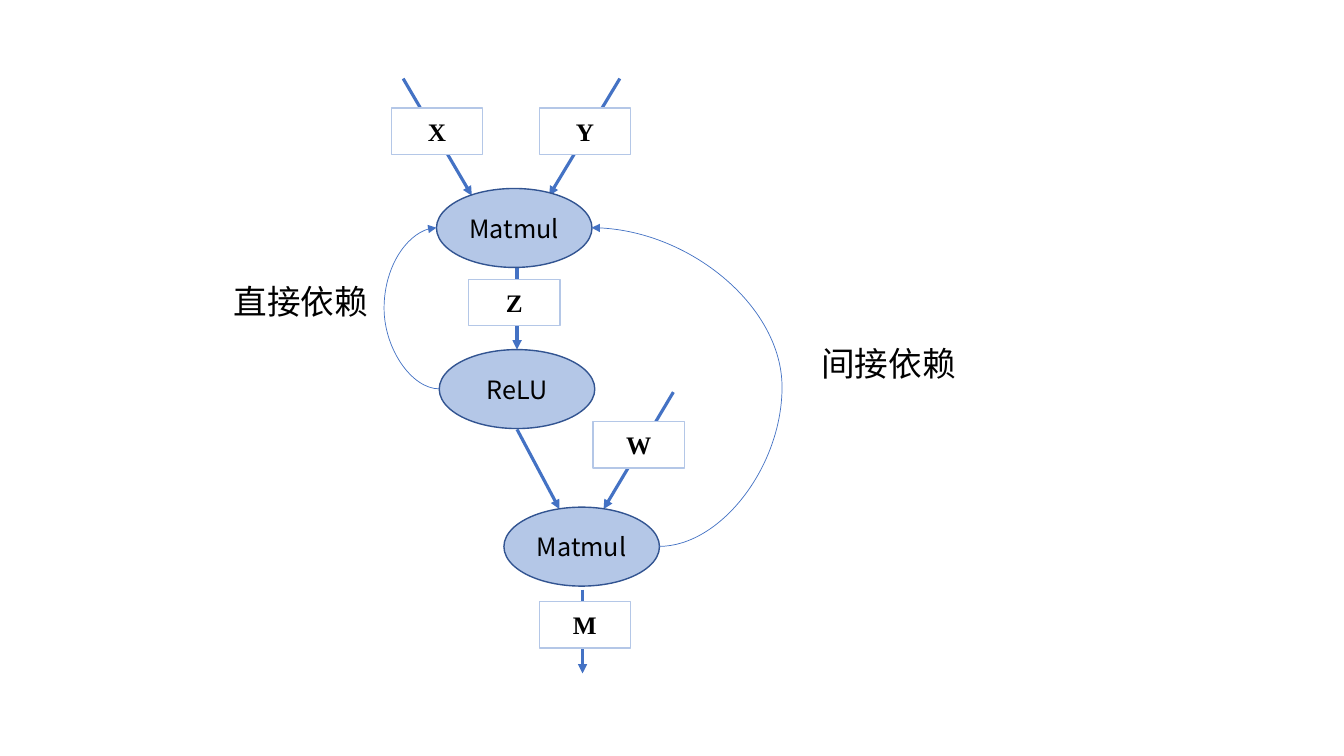
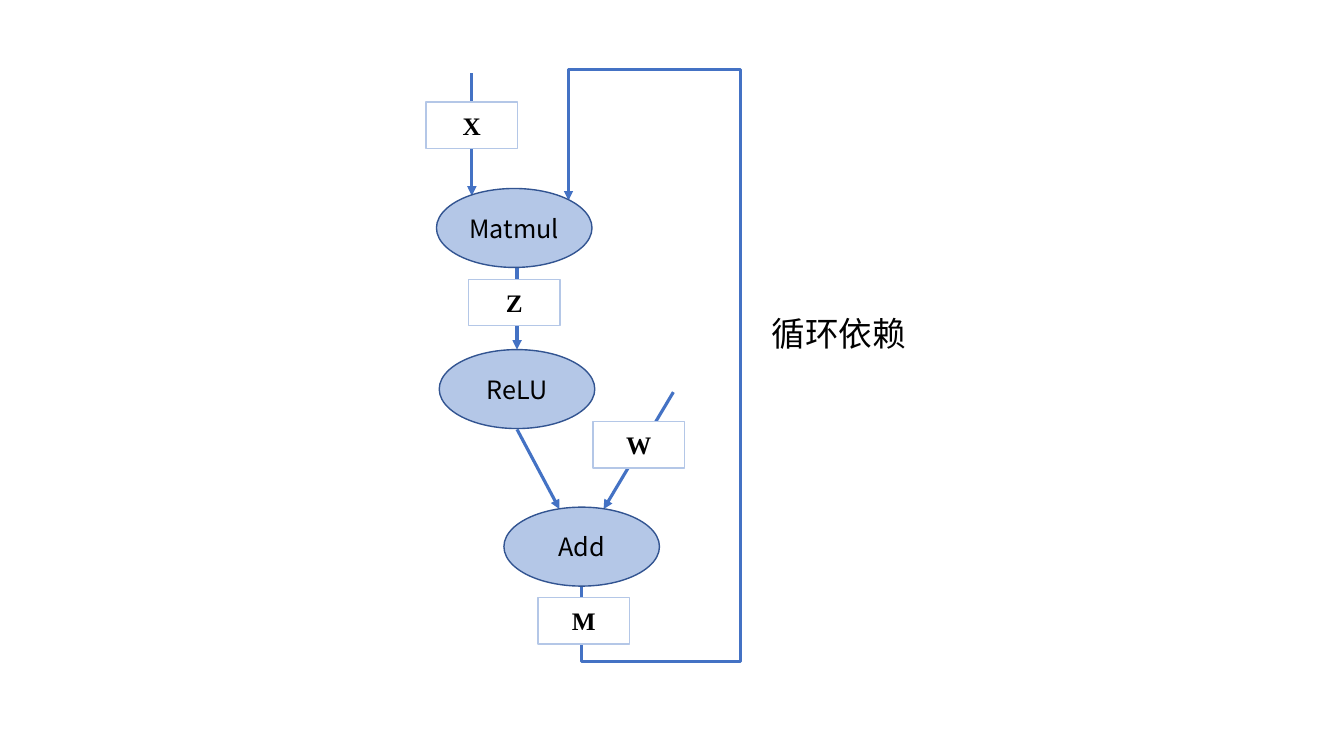
from pptx import Presentation
from pptx.dml.color import RGBColor
from pptx.enum import shapes, text
from pptx.oxml import ns
from pptx.util import Cm, Pt
from lxml import etree

BLUE = RGBColor(0x44, 0x72, 0xC4)
PALE = RGBColor(0xB4, 0xC7, 0xE7)
NAVY = RGBColor(0x32, 0x54, 0x91)
WHITE = RGBColor(0xFF, 0xFF, 0xFF)
BLACK = RGBColor(0, 0, 0)
SANS = "Noto Sans CJK SC"
SERIF = "Times New Roman"
LINK = shapes.MSO_CONNECTOR
FORM = shapes.MSO_SHAPE


def write(frame, words, size, font, bold=False):
    run = frame.paragraphs[0].add_run()
    run.text = words
    run.font.size = Pt(size)
    run.font.name = font
    run.font.bold = bold
    run.font.color.rgb = BLACK
    east = etree.SubElement(run.font._element, ns.qn("a:ea"))
    east.set("typeface", font)


def box(slide, form, place, size, fill, edge, words, font, bold):
    shape = slide.shapes.add_shape(form, *map(Cm, place + size))
    shape.shadow.inherit = False
    shape.fill.solid()
    shape.fill.fore_color.rgb = fill
    shape.line.color.rgb = edge
    shape.line.width = Pt(1)
    frame = shape.text_frame
    frame.vertical_anchor = text.MSO_ANCHOR.MIDDLE
    frame.paragraphs[0].alignment = text.PP_ALIGN.CENTER
    write(frame, words, 18, font, bold)


def node(slide, words, left, top):
    box(slide, FORM.OVAL, (left, top), (3.92, 1.99), PALE, NAVY, words, SANS, False)


def tag(slide, words, left, top):
    box(slide, FORM.RECTANGLE, (left, top), (2.3, 1.17), WHITE, PALE, words, SERIF, True)


def label(slide, words, left, top, width):
    area = slide.shapes.add_textbox(Cm(left), Cm(top), Cm(width), Cm(1.27))
    area.text_frame.word_wrap = True
    write(area.text_frame, words, 24, SANS)


def arrow(slide, start, end, kind=LINK.STRAIGHT, width=2.25):
    link = slide.shapes.add_connector(kind, *map(Cm, start + end))
    link.line.color.rgb = BLUE
    link.line.width = Pt(width)
    etree.SubElement(link.line._get_or_add_ln(), ns.qn("a:tailEnd")).set("type", "triangle")
    etree.SubElement(link._element.spPr, ns.qn("a:effectLst"))
    return link


def adjust(link, preset, ratios):
    geom = link._element.spPr.find(ns.qn("a:prstGeom"))
    geom.set("prst", preset)
    for old in geom.findall(ns.qn("a:avLst")):
        geom.remove(old)
    guides = etree.SubElement(geom, ns.qn("a:avLst"))
    for index, ratio in enumerate(ratios, 1):
        guide = etree.SubElement(guides, ns.qn("a:gd"))
        guide.set("name", f"adj{index}")
        guide.set("fmla", f"val {round(ratio * 100000)}")


def curve(slide, start, end, bulge):
    link = arrow(slide, start, end, LINK.CURVE, 0.5)
    adjust(link, "curvedConnector3", [(bulge - start[0]) / (end[0] - start[0])])


def loop(slide, start, end, low, side, high):
    (x1, y1), (x2, y2) = start, end
    midx, midy = (x1 + x2) / 2, (y1 + y2) / 2
    long, short = (y1 - y2) / 2, (x1 - x2) / 2
    link = arrow(slide, (midx + long, midy - short), (midx - long, midy + short), LINK.ELBOW)
    link._element.spPr.find(ns.qn("a:xfrm")).set("rot", str(90 * 60000))
    adjust(link, "bentConnector5",
           [(low - y1) / (y2 - y1), (side - x1) / (x2 - x1), (high - y1) / (y2 - y1)])


def core(slide, last):
    arrow(slide, (13.03, 6.73), (13.03, 8.81))
    arrow(slide, (13.03, 10.82), (14.1, 12.83))
    arrow(slide, (16.97, 9.88), (15.21, 12.83))
    node(slide, "Matmul", 11, 4.75)
    node(slide, "ReLU", 11.07, 8.81)
    node(slide, last, 12.7, 12.78)
    tag(slide, "Z", 11.81, 7.04)
    tag(slide, "W", 14.95, 10.62)


def direct(slide):
    arrow(slide, (10.16, 1.98), (11.89, 4.93))
    arrow(slide, (15.62, 1.98), (13.84, 4.93))
    arrow(slide, (14.68, 14.86), (14.68, 16.97))
    core(slide, "Matmul")
    tag(slide, "X", 9.86, 2.72)
    tag(slide, "Y", 13.59, 2.72)
    tag(slide, "M", 13.59, 15.16)
    curve(slide, (11.07, 9.8), (11, 5.74), 9.68)
    curve(slide, (16.61, 13.77), (14.91, 5.74), 19.71)
    label(slide, "直接依赖", 5.64, 6.96, 4.7)
    label(slide, "间接依赖", 20.45, 8.51, 4.7)


def cyclic(slide):
    arrow(slide, (11.89, 1.85), (11.89, 4.93))
    loop(slide, (14.66, 14.76), (14.33, 5.05), 16.66, 18.67, 1.75)
    core(slide, "Add")
    tag(slide, "X", 10.74, 2.57)
    tag(slide, "M", 13.56, 15.06)
    label(slide, "循环依赖", 19.2, 7.77, 3.92)


def main():
    deck = Presentation()
    deck.slide_width, deck.slide_height = Cm(33.87), Cm(19.05)
    for draw in (direct, cyclic):
        draw(deck.slides.add_slide(deck.slide_layouts[6]))
    deck.save("out.pptx")


if __name__ == "__main__":
    main()
